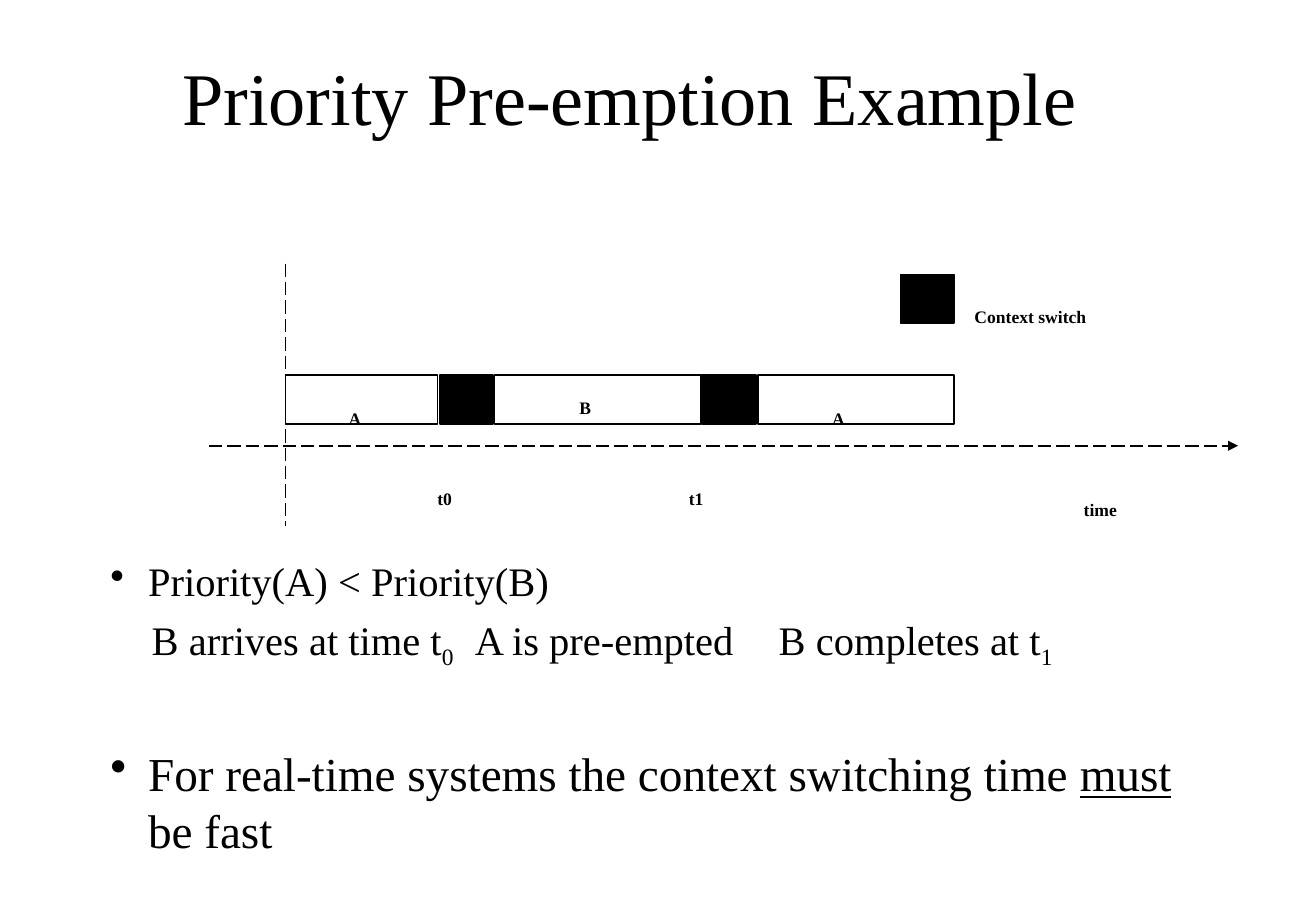
from lxml import etree
from pptx import Presentation
from pptx.dml.color import RGBColor
from pptx.enum.dml import MSO_LINE
from pptx.enum.shapes import MSO_CONNECTOR as CONN, MSO_SHAPE as SHAPE
from pptx.enum.text import MSO_ANCHOR as ANCHOR, MSO_AUTO_SIZE as AUTO, PP_ALIGN as ALIGN
from pptx.oxml.ns import qn
from pptx.util import Inches, Pt

FONT = "Times New Roman"
BLACK, WHITE = "000000", "FFFFFF"
BAR_TOP, BOX_H, SWITCH_W = 3.09, 0.4, 0.44
BAR = [(2.35, 1.25, WHITE), (3.62, SWITCH_W, BLACK), (4.07, 1.7, WHITE),
       (5.78, SWITCH_W, BLACK), (6.24, 1.61, WHITE)]
LABELS = [("time", 8.82, 3.89, 0.74), ("A", 2.77, 3.14, 0.43), ("B", 4.67, 3.05, 0.41),
          ("A", 6.75, 3.14, 0.43), ("Context switch", 7.92, 2.3, 1.95),
          ("t0", 3.5, 3.8, 0.41), ("t1", 5.57, 3.8, 0.41)]


def color(value):
    """Turn a hex string into a colour."""
    return RGBColor.from_string(value)


def add_run(p, text, size, baseline=0, **formats):
    """Add a formatted run, lowered when a baseline is given."""
    r = p.add_run()
    r.text = text
    for name, value in {"name": FONT, "size": Pt(size), **formats}.items():
        setattr(r.font, name, value)
    r.font.color.rgb = color(BLACK)
    if baseline:
        r.font._element.set("baseline", str(baseline * 1000))


def set_frame(sp, anchor=ANCHOR.TOP):
    """Make the text frame wrap at a fixed size and return it."""
    tf = sp.text_frame
    formats = {"word_wrap": True, "auto_size": AUTO.NONE, "vertical_anchor": anchor}
    for name, value in formats.items():
        setattr(tf, name, value)
    return tf


def add_text(s, left, top, width, height):
    """Add a wrapping text box and return its frame."""
    return set_frame(s.shapes.add_textbox(*map(Inches, (left, top, width, height))))


def add_label(s, text, left, top, width):
    """Add a small bold lowered label."""
    tf = add_text(s, left, top, width, 0.41)
    add_run(tf.paragraphs[0], text, 18, baseline=-25, bold=True)


def add_box(s, left, top, width, fill):
    """Add an outlined box of the time bar."""
    sp = s.shapes.add_shape(SHAPE.RECTANGLE, *map(Inches, (left, top, width, BOX_H)))
    sp.shadow.inherit = False
    sp.fill.solid()
    sp.fill.fore_color.rgb = color(fill)
    sp.line.color.rgb = color(BLACK)
    sp.line.width = Pt(1)


def add_axis(s, x1, y1, x2, y2, arrow=False):
    """Add a dashed axis, with an arrowhead if asked."""
    sp = s.shapes.add_connector(CONN.STRAIGHT, *map(Inches, (x1, y1, x2, y2)))
    sp.line.color.rgb = color(BLACK)
    sp.line.width = Pt(1)
    sp.line.dash_style = MSO_LINE.LONG_DASH
    if arrow:
        etree.SubElement(sp.line._ln, qn("a:tailEnd"), type="triangle")
    etree.SubElement(sp._element.spPr, qn("a:effectLst"))


def set_indent(p, margin, indent, bullet=None, tabs=()):
    """Set paragraph indents in inches, with a bullet or tab stops."""
    pPr = p._p.get_or_add_pPr()
    pPr.set("marL", str(Inches(margin)))
    pPr.set("indent", str(Inches(indent)))
    if bullet:
        etree.SubElement(pPr, qn("a:buChar"), char=bullet)
    if tabs:
        tab_list = etree.SubElement(pPr, qn("a:tabLst"))
        for pos in tabs:
            etree.SubElement(tab_list, qn("a:tab"), pos=str(Inches(pos)), algn="l")


def add_body(s):
    """Add the bullets on priorities and switching time."""
    tf = add_text(s, 0.81, 4.53, 9.21, 2.5)
    p = tf.paragraphs[0]
    set_indent(p, 0.31, -0.31, "•")
    add_run(p, "Priority(A) < Priority(B)", 24)

    p = tf.add_paragraph()
    set_indent(p, 0, 0.34, tabs=(3.14, 5.68))
    p.space_before = Pt(6)
    add_run(p, "B arrives at time t", 24)
    add_run(p, "0", 24, baseline=-25)
    add_run(p, "\tA is pre-empted\tB completes at t", 24)
    add_run(p, "1", 24, baseline=-25)

    p = tf.add_paragraph()
    set_indent(p, 0.31, -0.31, "•")
    p.space_before = Pt(44)
    add_run(p, "For real-time systems the context switching time ", 28)
    add_run(p, "must", 28, underline=True)
    add_run(p, " be fast", 28)


def add_title(s, text):
    """Place and format the title placeholder."""
    sp = s.shapes.title
    sp.left, sp.top, sp.width, sp.height = map(Inches, (0.58, 0.25, 9.21, 1.08))
    p = set_frame(sp, ANCHOR.MIDDLE).paragraphs[0]
    p.alignment = ALIGN.CENTER
    add_run(p, text, 44)


def main():
    """Build the slide and save it."""
    prs = Presentation()
    prs.slide_width, prs.slide_height = Inches(10.83), Inches(7.5)
    s = prs.slides.add_slide(prs.slide_layouts[5])
    add_title(s, "Priority Pre-emption Example")
    add_body(s)
    add_axis(s, 2.35, 2.17, 2.35, 4.33)
    add_axis(s, 1.72, 3.67, 10.19, 3.67, arrow=True)
    for left, width, fill in BAR:
        add_box(s, left, BAR_TOP, width, fill)
    add_box(s, 7.41, 2.26, SWITCH_W, BLACK)
    for label in LABELS:
        add_label(s, *label)
    prs.save("out.pptx")


if __name__ == "__main__":
    main()
